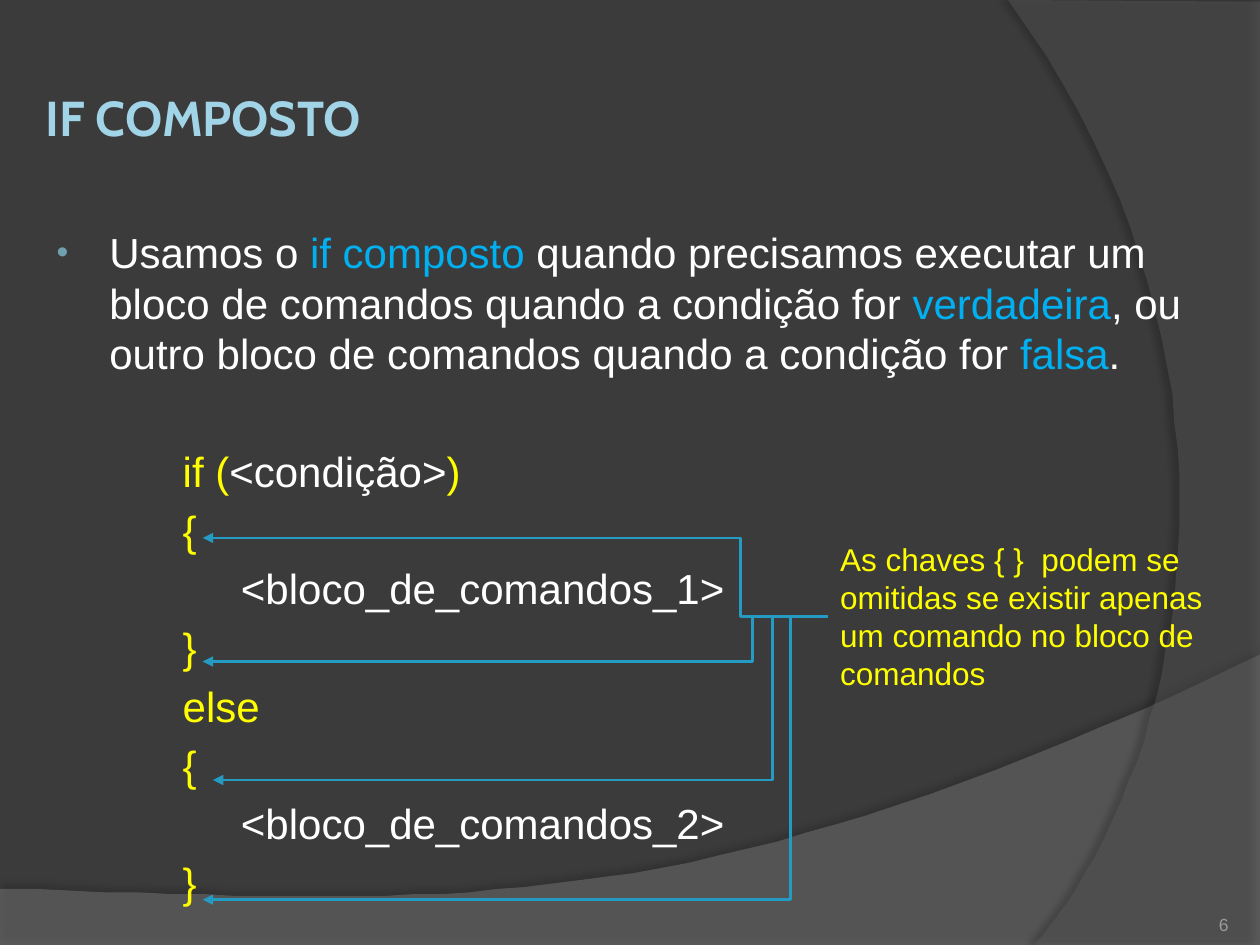
from lxml.etree import SubElement
from pptx import Presentation
from pptx.dml.color import RGBColor
from pptx.enum.shapes import MSO_CONNECTOR
from pptx.enum.text import MSO_ANCHOR, MSO_AUTO_SIZE, PP_ALIGN
from pptx.oxml.ns import qn
from pptx.util import Pt

COLORS = {
    "background": "3B3B3B", "lower_wave": "7F7F7F", "right_wave": "5E5E5E",
    "shadow": "000000", "title": "A1D4E7", "text": "FFFFFF", "term": "00B0F0",
    "code": "FFFF00", "bullet": "6EA0B0", "arrow": "239BC2", "number": "9D9B9A",
}
BODY_SIZE = 24
LINE_GAP = 4.8
CODE_INDENT, BLOCK_INDENT = 75, 108.3

DEFINITION = [
    ("Usamos o ", "text"), ("if composto", "term"),
    (" quando precisamos executar um bloco de comandos quando a condição for ", "text"),
    ("verdadeira", "term"),
    (", ou outro bloco de comandos quando a condição for ", "text"),
    ("falsa", "term"), (".", "text"),
]
CODE_LINES = [
    (CODE_INDENT, [("if (", "code"), ("<condição>", "text"), (")", "code")]),
    (CODE_INDENT, [("{", "code")]),
    (BLOCK_INDENT, [("<bloco_de_comandos_1>", "text")]),
    (CODE_INDENT, [("}", "code")]),
    (CODE_INDENT, [("else", "code")]),
    (CODE_INDENT, [("{", "code")]),
    (BLOCK_INDENT, [("<bloco_de_comandos_2>", "text")]),
    (CODE_INDENT, [("}", "code")]),
]
# Arrow tip x, tip y, and share of the width before the bend
BRACE_ARROWS = [
    (115.9, 307.4, 0.14), (115.9, 378, 0.12),
    (115.9, 514.1, 0.06), (121.7, 445.7, 0.09),
]


def color(name):
    return RGBColor.from_string(COLORS[name])


def add_runs(paragraph, runs, size, font_name="Arial", bold=False):
    for text, color_name in runs:
        run = paragraph.add_run()
        run.text = text
        run.font.name = font_name
        run.font.size = Pt(size)
        run.font.bold = bold
        run.font.color.rgb = color(color_name)


def add_text_box(slide, left, top, width, height):
    box = slide.shapes.add_textbox(Pt(left), Pt(top), Pt(width), Pt(height))
    box.text_frame.word_wrap = True
    return box


def set_indent(paragraph, left, first=0):
    properties = paragraph._p.get_or_add_pPr()
    properties.set("marL", str(Pt(left)))
    properties.set("indent", str(Pt(first)))
    return properties


def add_bullet(paragraph):
    properties = set_indent(paragraph, 33.1, -30.2)
    bullet_color = SubElement(properties, qn("a:buClr"))
    SubElement(bullet_color, qn("a:srgbClr"), val=COLORS["bullet"])
    SubElement(properties, qn("a:buSzPct"), val="80000")
    SubElement(properties, qn("a:buFont"), typeface="Arial")
    SubElement(properties, qn("a:buChar"), char="•")


def curve(start, control_1, control_2, end, steps=40):
    """Points along a cubic curve, without its start."""
    points = []
    for step in range(1, steps + 1):
        t = step / steps
        weights = ((1 - t) ** 3, 3 * t * (1 - t) ** 2, 3 * t * t * (1 - t), t ** 3)
        points.append(tuple(
            sum(weight * value for weight, value in zip(weights, values))
            for values in zip(start, control_1, control_2, end)))
    return points


def add_wave(slide, points, color_name, opacity, shadow_opacity, distance, direction):
    builder = slide.shapes.build_freeform(*points[0], scale=Pt(1))
    builder.add_line_segments(points[1:], close=True)
    wave = builder.convert_to_shape()
    wave.fill.solid()
    wave.fill.fore_color.rgb = color(color_name)
    wave.line.fill.background()
    fill_color = wave._element.spPr.find(qn("a:solidFill"))[0]
    SubElement(fill_color, qn("a:alpha"), val=str(opacity * 1000))
    # Soft shadow along the curved edge
    effects = SubElement(wave._element.spPr, qn("a:effectLst"))
    shadow = SubElement(effects, qn("a:outerShdw"), blurRad=str(Pt(4)),
                        dist=str(Pt(distance)), dir=str(direction * 60000))
    shadow_color = SubElement(shadow, qn("a:srgbClr"), val=COLORS["shadow"])
    SubElement(shadow_color, qn("a:alpha"), val=str(shadow_opacity * 1000))
    return wave


def add_background(slide):
    slide.background.fill.solid()
    slide.background.fill.fore_color.rgb = color("background")
    lower = [(0, 507.6), (0, 540), (720, 540), (720, 374.4)]
    lower += curve(lower[-1], (402.5, 524.9), (281.5, 517.7), lower[0])[:-1]
    right = [(720, 1.4), (720, 540), (591.1, 540)]
    right += curve(right[-1], (673.2, 445.7), (733, 216), (576, 0))
    waves = [add_wave(slide, lower, "lower_wave", 45, 35, 3.5, 270),
             add_wave(slide, right, "right_wave", 40, 45, 4, 180)]
    # Send the waves behind the title
    tree = slide.shapes._spTree
    for position, wave in enumerate(waves, start=2):
        tree.remove(wave._element)
        tree.insert(position, wave._element)


def add_title(slide):
    title = slide.shapes.title
    title.left, title.top, title.width, title.height = Pt(22.3), Pt(21.6), Pt(675.4), Pt(90)
    frame = title.text_frame
    frame.word_wrap = True
    frame.vertical_anchor = MSO_ANCHOR.MIDDLE
    frame.margin_left = frame.margin_right = Pt(3.6)
    frame.margin_top = frame.margin_bottom = Pt(3.6)
    paragraph = frame.paragraphs[0]
    paragraph.alignment = PP_ALIGN.LEFT
    add_runs(paragraph, [("IF COMPOSTO", "title")], 28, "Cabin", True)


def add_body(slide):
    frame = add_text_box(slide, 22.3, 126, 675.4, 356.4).text_frame
    definition = frame.paragraphs[0]
    add_bullet(definition)
    add_runs(definition, DEFINITION, BODY_SIZE)
    for index, (indent, runs) in enumerate(CODE_LINES):
        paragraph = frame.add_paragraph()
        set_indent(paragraph, indent)
        paragraph.space_before = Pt(LINE_GAP if index else 38.5)
        add_runs(paragraph, runs, BODY_SIZE)


def add_note(slide):
    note = add_text_box(slide, 473, 305.3, 223.9, 94.3)
    note.text_frame.auto_size = MSO_AUTO_SIZE.SHAPE_TO_FIT_TEXT
    text = "As chaves { }  podem se omitidas se existir apenas um comando no bloco de comandos"
    add_runs(note.text_frame.paragraphs[0], [(text, "code")], 18)
    return note


def add_brace_arrow(slide, note, tip_x, tip_y, bend):
    arrow = slide.shapes.add_connector(
        MSO_CONNECTOR.ELBOW, note.left, note.top + note.height // 2, Pt(tip_x), Pt(tip_y))
    arrow.begin_connect(note, 1)
    arrow.line.color.rgb = color("arrow")
    arrow.line.width = Pt(1.5)
    SubElement(arrow.line._get_or_add_ln(), qn("a:tailEnd"), type="triangle")
    properties = arrow._element.spPr
    SubElement(properties, qn("a:effectLst"))
    adjustments = properties.find(qn("a:prstGeom")).get_or_add_avLst()
    SubElement(adjustments, qn("a:gd"), name="adj1", fmla=f"val {round(bend * 100000)}")


def add_slide_number(slide):
    frame = add_text_box(slide, 642.2, 505.4, 59.8, 28.8).text_frame
    frame.margin_left = frame.margin_right = frame.margin_top = frame.margin_bottom = 0
    frame.vertical_anchor = MSO_ANCHOR.BOTTOM
    paragraph = frame.paragraphs[0]
    paragraph.alignment = PP_ALIGN.RIGHT
    add_runs(paragraph, [("6", "number")], 10)


def main():
    presentation = Presentation()
    presentation.slide_width, presentation.slide_height = Pt(720), Pt(540)
    slide = presentation.slides.add_slide(presentation.slide_layouts[5])
    add_background(slide)
    add_title(slide)
    add_body(slide)
    add_slide_number(slide)
    note = add_note(slide)
    for tip_x, tip_y, bend in BRACE_ARROWS:
        add_brace_arrow(slide, note, tip_x, tip_y, bend)
    presentation.save("out.pptx")


if __name__ == "__main__":
    main()
